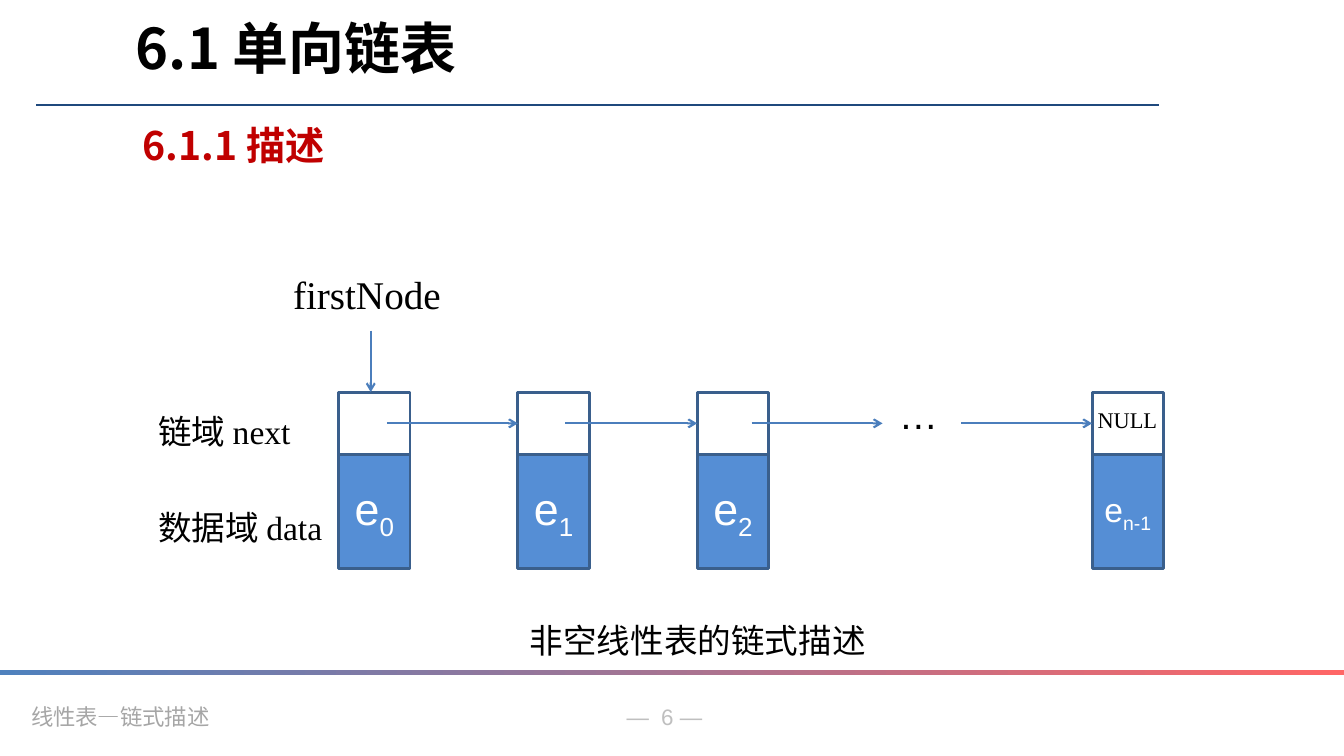
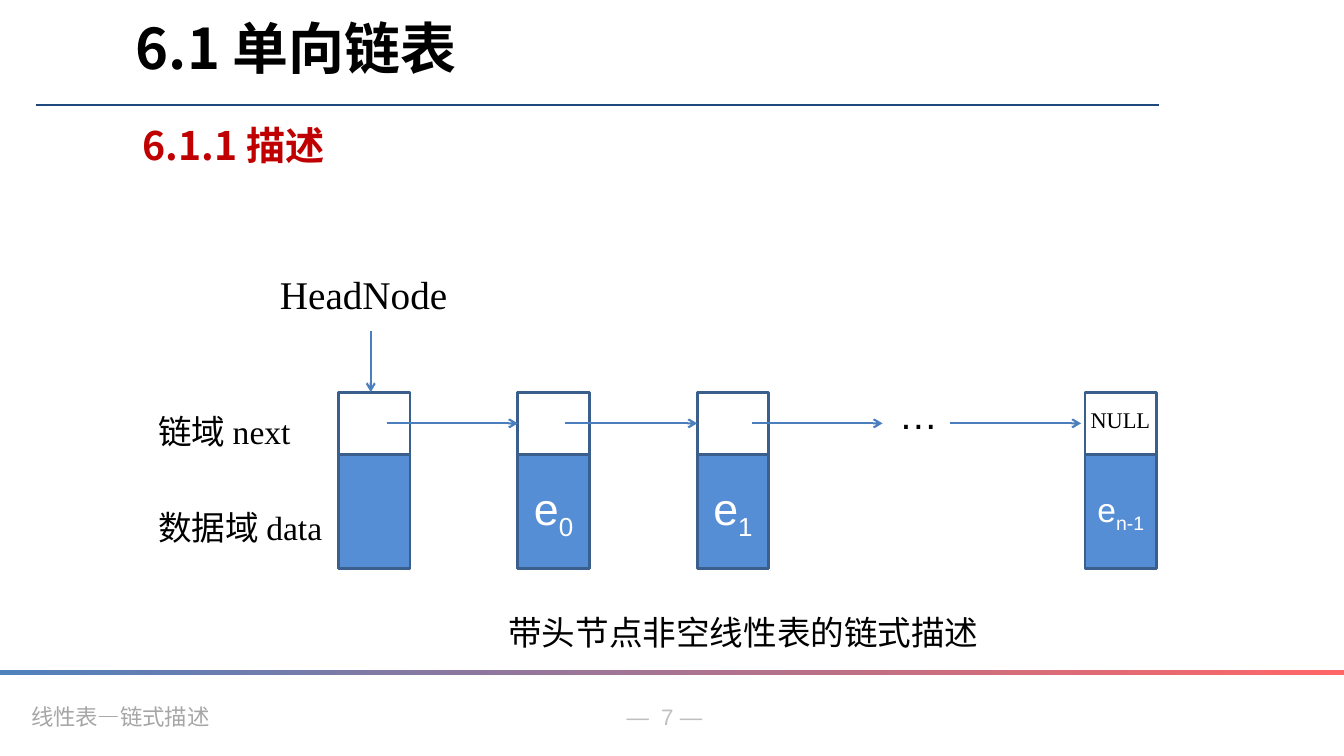
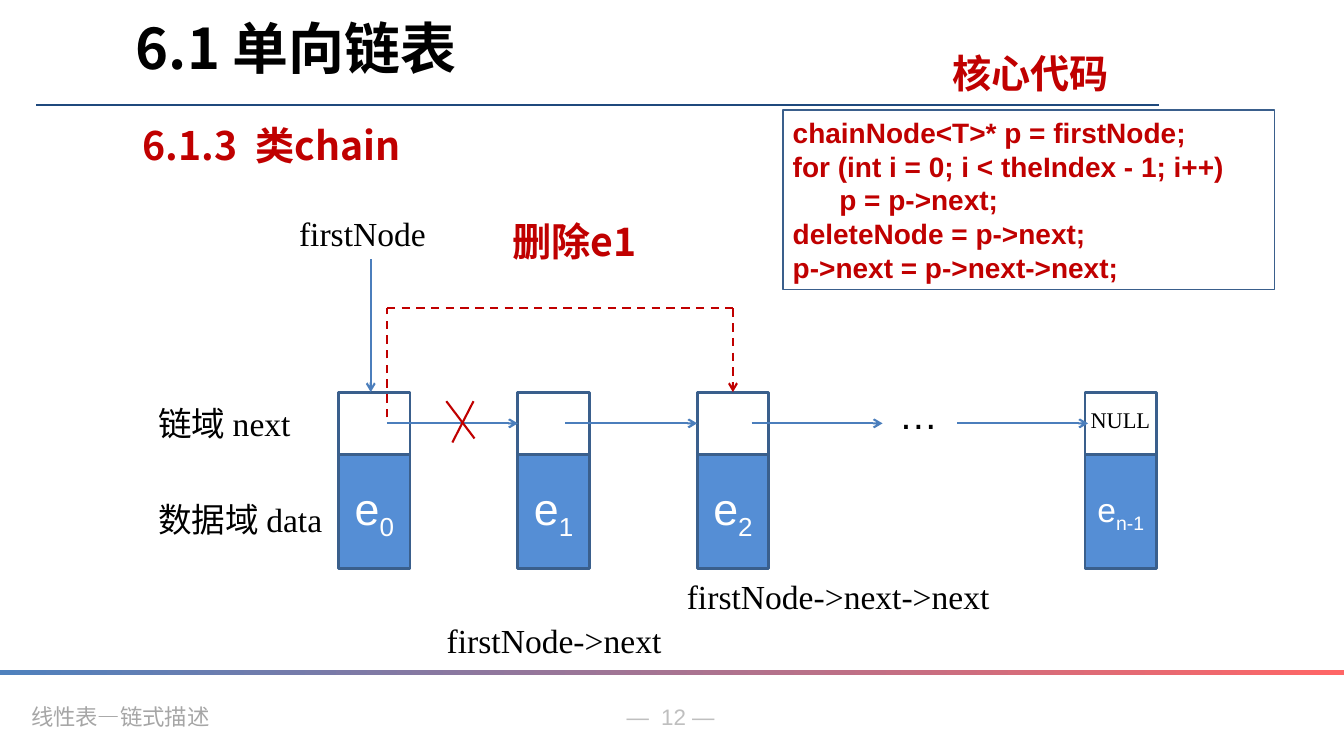
from lxml import etree
from pptx import Presentation
from pptx.dml.color import RGBColor
from pptx.enum.dml import MSO_LINE
from pptx.enum.shapes import MSO_CONNECTOR, MSO_SHAPE
from pptx.enum.text import MSO_ANCHOR, PP_ALIGN
from pptx.oxml.ns import qn
from pptx.util import Inches, Pt

STRAIGHT, RECTANGLE, DASH = MSO_CONNECTOR.STRAIGHT, MSO_SHAPE.RECTANGLE, MSO_LINE.DASH
LEFT, CENTER, MIDDLE = PP_ALIGN.LEFT, PP_ALIGN.CENTER, MSO_ANCHOR.MIDDLE
TOP_SIDE, LEFT_SIDE = 0, 1

COLORS = {
    "black": "000000", "white": "FFFFFF", "red": "C00000", "rule": "1F497D",
    "outline": "3A5F8C", "cell": "558ED5", "arrow": "4B7EBC",
    "band_start": "4F81BD", "band_end": "FF6666",
    "page": "BFBFBF", "footer": "A6A6A6",
}
SANS, SERIF, CJK, MONO = "Arial", "Times New Roman", "Noto Sans CJK SC", "Noto Sans Mono"

# style: (font values, colour, alignment, box height)
STYLES = {
    "title": ({"name": CJK, "size": Pt(40), "bold": True}, "black", LEFT, 0.91),
    "subtitle": ({"name": CJK, "size": Pt(28), "bold": True}, "red", LEFT, 0.62),
    "remark": ({"name": CJK, "size": Pt(28), "bold": True}, "red", CENTER, 0.57),
    "code": ({"name": SANS, "size": Pt(20), "bold": True}, "red", LEFT, 1.78),
    "pointer": ({"name": SERIF, "size": Pt(28)}, "black", LEFT, 0.57),
    "label": ({"name": SERIF, "size": Pt(24)}, "black", LEFT, 0.5),
    "caption": ({"name": SERIF, "size": Pt(24)}, "black", CENTER, 0.5),
    "null": ({"name": SERIF, "size": Pt(16)}, "black", CENTER, 0.37),
    "dots": ({"name": SANS, "size": Pt(28)}, "black", CENTER, 0.57),
    "element": ({"name": SANS, "size": Pt(32)}, "white", CENTER, 1.13),
    "last_element": ({"name": SANS, "size": Pt(24)}, "white", CENTER, 1.13),
    "page": ({"name": SANS, "size": Pt(16)}, "page", LEFT, 0.37),
    "footer": ({"name": MONO, "size": Pt(16)}, "footer", LEFT, 0.37),
}

WIDTH, HEIGHT = 13.34, 7.5
NODE_WIDTH, LINK_HEIGHT, DATA_HEIGHT = 0.71, 0.62, 1.13
LINK_ROW = 3.89
DATA_ROW = LINK_ROW + LINK_HEIGHT
ARROW_ROW = LINK_ROW + LINK_HEIGHT / 2
NODE_COLUMNS = [3.36 + 1.78 * index for index in range(3)]
ARROW_STARTS, ARROW_LENGTH = [3.84, 5.61, 7.46], 1.3
POINTER_COLUMN, BYPASS_COLUMN, BYPASS_ROW = 3.68, 3.84, 3.06

CODE = [
    "chainNode<T>* p = firstNode;",
    "for (int i = 0; i < theIndex - 1; i++)",
    "      p = p->next;",
    "deleteNode = p->next;",
    "p->next = p->next->next;",
]

# texts: (text, left, top, width, style)
SLIDES = [
    {
        "page": 6, "subtitle": "6.1.1 描述", "subscripts": ["0", "1", "2"],
        "last_column": 10.84, "last_arrow": 9.54, "pointer_row": 3.28, "label_row": 4.03,
        "deletes": False,
        "texts": [
            ("firstNode", 2.81, 2.63, 1.78, "pointer"),
            ("非空线性表的链式描述", 4.9, 6.1, 4.05, "caption"),
        ],
    },
    {
        "page": 7, "subtitle": "6.1.1 描述", "subscripts": ["", "0", "1"],
        "last_column": 10.77, "last_arrow": 9.43, "pointer_row": 3.28, "label_row": 4.03,
        "deletes": False,
        "texts": [
            ("HeadNode", 2.68, 2.63, 2.08, "pointer"),
            ("带头节点非空线性表的链式描述", 4.05, 6.02, 6.66, "caption"),
        ],
    },
    {
        "page": 12, "subtitle": "6.1.3  类chain", "subscripts": ["0", "1", "2"],
        "last_column": 10.77, "last_arrow": 9.5, "pointer_row": 2.57, "label_row": 3.95,
        "deletes": True,
        "texts": [
            ("firstNode", 2.87, 2.06, 1.6, "label"),
            ("删除e1", 4.81, 2.11, 1.78, "remark"),
            ("firstNode->next", 4.16, 6.1, 2.68, "caption"),
            ("firstNode->next->next", 6.59, 5.66, 3.46, "caption"),
            ("核心代码", 9.33, 0.44, 1.8, "remark"),
        ],
    },
]


def write(shape, lines, style, subscript=""):
    """Put each line in its own paragraph, with a subscript run after it if given."""
    font_values, color, alignment, _ = STYLES[style]
    frame = shape.text_frame
    frame.word_wrap = True
    for index, line in enumerate(lines):
        paragraph = frame.paragraphs[0] if index == 0 else frame.add_paragraph()
        paragraph.alignment = alignment
        for text, baseline in ((line, None), (subscript, "-25000")):
            if not text:
                continue
            run = paragraph.add_run()
            run.text = text
            for name, value in font_values.items():
                setattr(run.font, name, value)
            run.font.color.rgb = RGBColor.from_string(COLORS[color])
            properties = run._r.get_or_add_rPr()
            etree.SubElement(properties, qn("a:ea")).set("typeface", CJK)
            if baseline:
                properties.set("baseline", baseline)


def draw_line(slide, start, end, color="arrow", width=1.5, arrow=False, dash=None):
    connector = slide.shapes.add_connector(
        STRAIGHT, *(Inches(value) for value in (*start, *end)))
    connector.line.color.rgb = RGBColor.from_string(COLORS[color])
    connector.line.width = Pt(width)
    if dash:
        connector.line.dash_style = dash
    if arrow:
        etree.SubElement(connector.line._get_or_add_ln(), qn("a:tailEnd")).set("type", "arrow")
    etree.SubElement(connector._element.spPr, qn("a:effectLst"))
    return connector


presentation = Presentation()
presentation.slide_width, presentation.slide_height = Inches(WIDTH), Inches(HEIGHT)

for content in SLIDES:
    slide = presentation.slides.add_slide(presentation.slide_layouts[6])
    last_column, label_row = content["last_column"], content["label_row"]

    # Rule and band
    draw_line(slide, (0.36, 1.04), (11.5, 1.04), "rule", 1)
    band = slide.shapes.add_shape(
        RECTANGLE, 0, Inches(6.65), presentation.slide_width, Inches(0.05))
    band.shadow.inherit = False
    band.line.fill.background()
    band.fill.gradient()
    band.fill.gradient_angle = 0
    for stop, color in zip(band.fill.gradient_stops, ("band_start", "band_end")):
        stop.color.rgb = RGBColor.from_string(COLORS[color])

    # Nodes: a link cell above a data cell
    link_cells = []
    columns = NODE_COLUMNS + [last_column]
    for column, subscript in zip(columns, content["subscripts"] + ["n-1"]):
        for row, height in ((LINK_ROW, LINK_HEIGHT), (DATA_ROW, DATA_HEIGHT)):
            cell = slide.shapes.add_shape(
                RECTANGLE, Inches(column), Inches(row), Inches(NODE_WIDTH), Inches(height))
            cell.shadow.inherit = False
            cell.line.color.rgb = RGBColor.from_string(COLORS["outline"])
            cell.line.width = Pt(2)
            if row == LINK_ROW:
                cell.fill.background()
                link_cells.append(cell)
                continue
            cell.fill.solid()
            cell.fill.fore_color.rgb = RGBColor.from_string(COLORS["cell"])
            cell.text_frame.vertical_anchor = MIDDLE
            if subscript:
                style = "last_element" if column == last_column else "element"
                write(cell, ["e"], style, subscript)

    # Arrows, joined wherever they reach the next link cell's edge
    targets = [link_cells[1], link_cells[2], None, link_cells[3]]
    for start, target in zip(ARROW_STARTS + [content["last_arrow"]], targets):
        end = start + ARROW_LENGTH
        connector = draw_line(slide, (start, ARROW_ROW), (end, ARROW_ROW), arrow=True)
        if target is not None and abs(target.left - Inches(end)) < Inches(0.02):
            connector.end_connect(target, LEFT_SIDE)
    draw_line(slide, (POINTER_COLUMN, content["pointer_row"]), (POINTER_COLUMN, LINK_ROW),
              arrow=True)

    # Texts
    shared_texts = [
        ("6.1 单向链表", 1.25, 0.08, 8.89, "title"),
        (content["subtitle"], 1.32, 1.15, 4.65, "subtitle"),
        ("…", 8.76, 3.82, 0.71, "dots"),
        ("NULL", last_column - 0.16, 3.98, 1.02, "null"),
        ("链域 next", 1.47, label_row, 1.89, "label"),
        ("数据域 data", 1.47, label_row + 0.95, 1.89, "label"),
        ("线性表—链式描述", 0.21, 6.93, 3.02, "footer"),
        (f"—  {content['page']} —", 6.12, 6.93, 1.18, "page"),
    ]
    for text, left, top, width, style in shared_texts + content["texts"]:
        box = slide.shapes.add_textbox(
            Inches(left), Inches(top), Inches(width), Inches(STYLES[style][3]))
        write(box, [text], style)

    if content["deletes"]:
        # Cross over the removed link, then the dashed bypass
        draw_line(slide, (4.7, 3.98), (4.49, 4.39), "red")
        draw_line(slide, (4.43, 3.98), (4.71, 4.35), "red")
        bypass_end = NODE_COLUMNS[2] + NODE_WIDTH / 2
        bypass = [(BYPASS_COLUMN, 4.14), (BYPASS_COLUMN, BYPASS_ROW),
                  (bypass_end, BYPASS_ROW), (bypass_end, LINK_ROW)]
        for start, end in zip(bypass, bypass[1:]):
            connector = draw_line(slide, start, end, "red", arrow=end == bypass[-1], dash=DASH)
        connector.end_connect(link_cells[2], TOP_SIDE)

        code_box = slide.shapes.add_shape(
            RECTANGLE, Inches(7.77), Inches(1.09), Inches(4.88), Inches(STYLES["code"][3]))
        code_box.shadow.inherit = False
        code_box.fill.background()
        code_box.line.color.rgb = RGBColor.from_string(COLORS["outline"])
        code_box.line.width = Pt(1)
        write(code_box, CODE, "code")

presentation.save("out.pptx")
